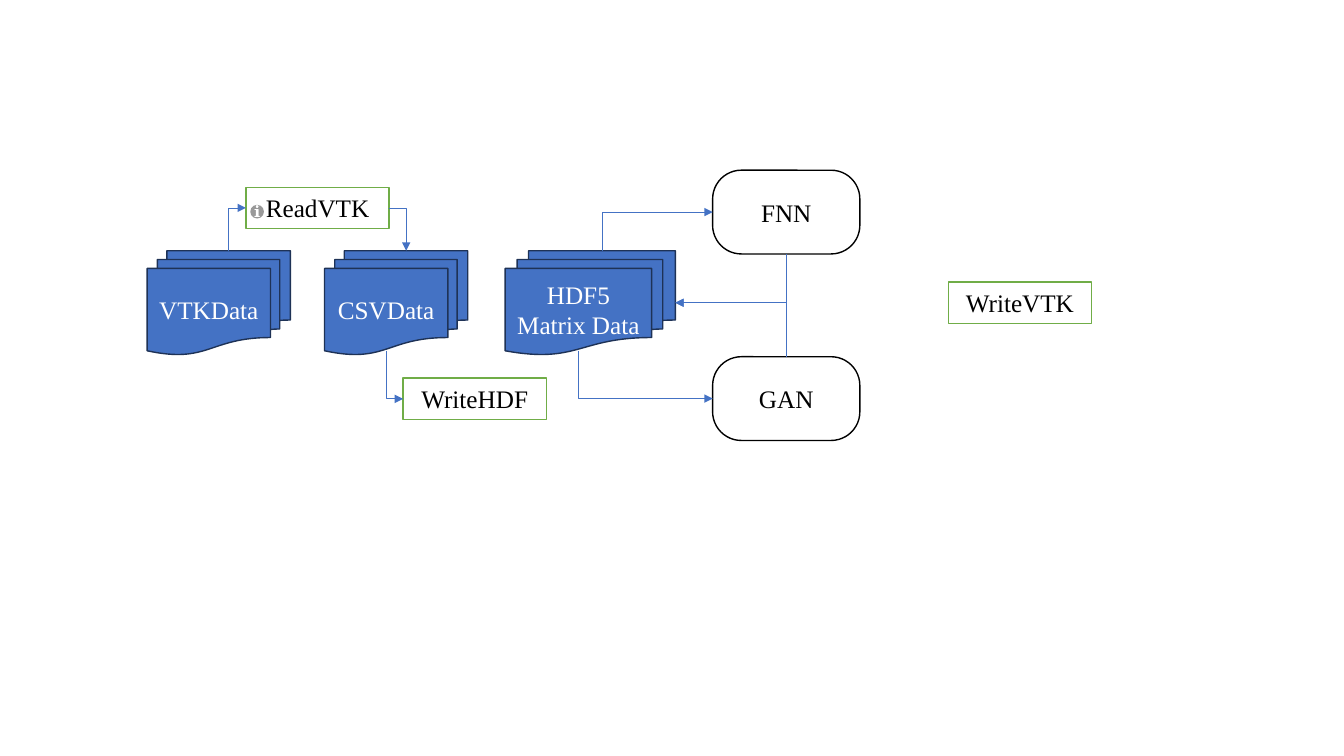
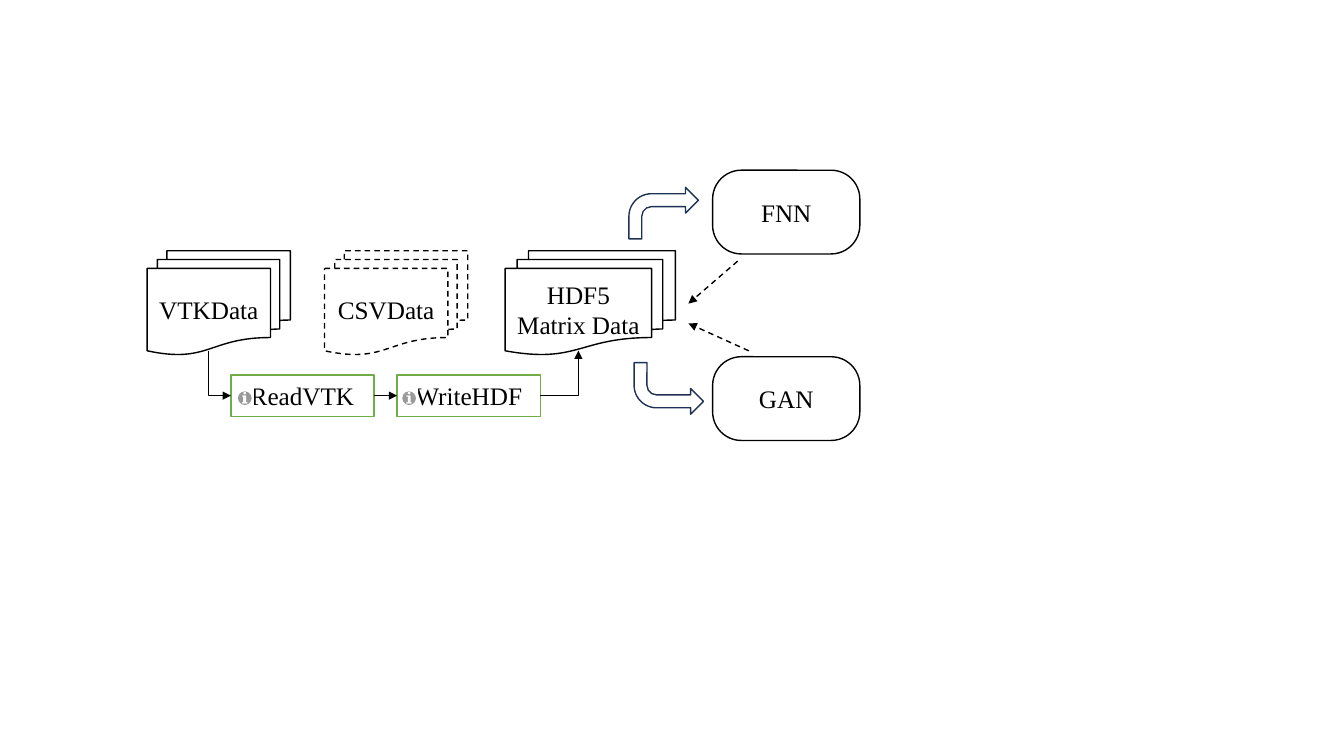
from dataclasses import dataclass

from lxml import etree
from pptx import Presentation
from pptx.dml.color import RGBColor
from pptx.enum.dml import MSO_LINE_DASH_STYLE as Dash
from pptx.enum.shapes import MSO_CONNECTOR as Connector, MSO_SHAPE as Shape
from pptx.enum.text import MSO_ANCHOR as Anchor, PP_ALIGN as Align
from pptx.oxml.ns import qn
from pptx.util import Cm, Pt


@dataclass(frozen=True)
class Theme:
    font: str = "Times New Roman"
    text_size: int = 18
    outline: float = 1
    thin: float = 0.5
    black: RGBColor = RGBColor(0, 0, 0)
    white: RGBColor = RGBColor(255, 255, 255)
    blue: RGBColor = RGBColor.from_string("4472C4")
    navy: RGBColor = RGBColor.from_string("1E3256")
    green: RGBColor = RGBColor.from_string("70AD47")


THEME = Theme()


def top(shape):
    return shape.left + shape.width // 2, shape.top


def bottom(shape):
    return shape.left + shape.width // 2, shape.top + shape.height


def left(shape):
    return shape.left, shape.top + shape.height // 2


def right(shape):
    return shape.left + shape.width, shape.top + shape.height // 2


def stack_top(stack):
    """Middle of the rearmost sheet's top edge."""
    return stack.left + round(stack.width * 0.57), stack.top


def stack_bottom(stack):
    """Middle of the front sheet's wavy bottom edge."""
    return (stack.left + round(stack.width * 0.43),
            stack.top + round(stack.height * 0.96))


class Diagram:
    def __init__(self, presentation):
        self.slide = presentation.slides.add_slide(presentation.slide_layouts[6])

    def shape(self, kind, x, y, width, height, fill=None, line=None,
              text="", color=THEME.black):
        shape = self.slide.shapes.add_shape(
            kind, Cm(x), Cm(y), Cm(width), Cm(height))
        shape.shadow.inherit = False
        if fill is None:
            shape.fill.background()
        else:
            shape.fill.solid()
            shape.fill.fore_color.rgb = fill
        if line is None:
            shape.line.fill.background()
        else:
            shape.line.color.rgb = line
            shape.line.width = Pt(THEME.outline)
        if text:
            frame = shape.text_frame
            frame.text = text
            frame.vertical_anchor = Anchor.MIDDLE
            for paragraph in frame.paragraphs:
                paragraph.alignment = Align.CENTER
                paragraph.font.name = THEME.font
                paragraph.font.size = Pt(THEME.text_size)
                paragraph.font.color.rgb = color
        return shape

    def step(self, text, x, y):
        return self.shape(Shape.RECTANGLE, x, y, 3.61, 1.04,
                          THEME.white, THEME.green, text)

    def info(self, x, y):
        self.shape(Shape.ACTION_BUTTON_INFORMATION, x, y, 0.46, 0.51, THEME.white)

    def stacks(self, fill, line, color):
        """The three data stores, from raw files to matrices."""
        return [self.shape(Shape.FLOWCHART_MULTIDOCUMENT, x, 6.32, width, 2.62,
                           fill, line, text, color)
                for text, x, width in (("VTKData", 3.71, 3.61),
                                       ("CSVData", 8.18, 3.61),
                                       ("HDF5\nMatrix Data", 12.73, 4.29))]

    def models(self):
        models = []
        for text, y in (("FNN", 4.29), ("GAN", 8.99)):
            model = self.shape(Shape.ROUNDED_RECTANGLE, 17.96, y, 3.71, 2.11,
                               THEME.white, THEME.black, text)
            model.adjustments[0] = 0.343
            models.append(model)
        return models

    def block_arrow(self, x, y, flipped=False):
        arrow = self.shape(Shape.BENT_ARROW, x, y, 1.75, 1.3, line=THEME.navy)
        if flipped:
            arrow._element.spPr.xfrm.set("flipV", "1")

    def arrow(self, start, end, color, width=THEME.thin, dash=None):
        connector = self.slide.shapes.add_connector(
            Connector.STRAIGHT, *start, *end)
        line = connector.line
        line.color.rgb = color
        line.width = Pt(width)
        if dash:
            line.dash_style = dash
        properties = connector._element.spPr
        etree.SubElement(properties.find(qn("a:ln")), qn("a:tailEnd"),
                         type="triangle")
        etree.SubElement(properties, qn("a:effectLst"))
        return connector

    def bent_arrow(self, start, end, color, vertical_first=True):
        """Arrow with one right-angled corner."""
        connector = self.arrow(start, end, color)
        properties = connector._element.spPr
        properties.find(qn("a:prstGeom")).set("prst", "bentConnector2")
        if not vertical_first:
            return
        # The preset runs across first, so a quarter turn makes it run down or up.
        dx, dy = end[0] - start[0], end[1] - start[1]
        clockwise = (dx > 0) == (dy < 0)
        width, height = abs(dy), abs(dx)
        connector.left = (start[0] + end[0] - width) // 2
        connector.top = (start[1] + end[1] - height) // 2
        connector.width, connector.height = width, height
        transform = properties.xfrm
        transform.set("rot", str((90 if clockwise else 270) * 60000))
        transform.set("flipH", str(int(clockwise == (dy < 0))))
        transform.set("flipV", str(int(clockwise == (dx > 0))))


def build_csv_route(presentation):
    diagram = Diagram(presentation)
    read = diagram.step("ReadVTK", 6.2, 4.72)
    write = diagram.step("WriteHDF", 10.16, 9.53)
    diagram.step("WriteVTK", 23.9, 7.11)
    vtk, csv, hdf = diagram.stacks(THEME.blue, THEME.navy, THEME.white)
    diagram.info(6.25, 5.08)
    fnn, gan = diagram.models()

    for start, end in ((stack_top(vtk), left(read)),
                       (stack_bottom(csv), left(write)),
                       (stack_top(hdf), left(fnn)),
                       (stack_bottom(hdf), left(gan)),
                       (top(gan), right(hdf)),
                       (bottom(fnn), right(hdf))):
        diagram.bent_arrow(start, end, THEME.blue)
    diagram.bent_arrow(right(read), stack_top(csv), THEME.blue,
                       vertical_first=False)


def build_direct_route(presentation):
    diagram = Diagram(presentation)
    read = diagram.step("ReadVTK", 5.82, 9.45)
    write = diagram.step("WriteHDF", 10.01, 9.45)
    vtk, csv, hdf = diagram.stacks(THEME.white, THEME.black, THEME.black)
    csv.line.dash_style = Dash.DASH
    for x in (5.94, 10.08):
        diagram.info(x, 9.78)
    diagram.models()

    diagram.bent_arrow(stack_bottom(vtk), left(read), THEME.black)
    diagram.arrow(right(read), left(write), THEME.black)
    diagram.bent_arrow(right(write), stack_bottom(hdf), THEME.black,
                       vertical_first=False)
    diagram.block_arrow(15.85, 4.72)
    diagram.block_arrow(15.98, 9.14, flipped=True)
    for x, y, end_y in ((18.87, 8.84, 8.15), (18.59, 6.58, 7.65)):
        diagram.arrow((Cm(x), Cm(y)), (Cm(17.35), Cm(end_y)), THEME.black,
                      THEME.outline, Dash.DASH)


def main():
    presentation = Presentation()
    presentation.slide_width = Cm(33.87)
    presentation.slide_height = Cm(19.05)
    build_csv_route(presentation)
    build_direct_route(presentation)
    presentation.save("out.pptx")


if __name__ == "__main__":
    main()
